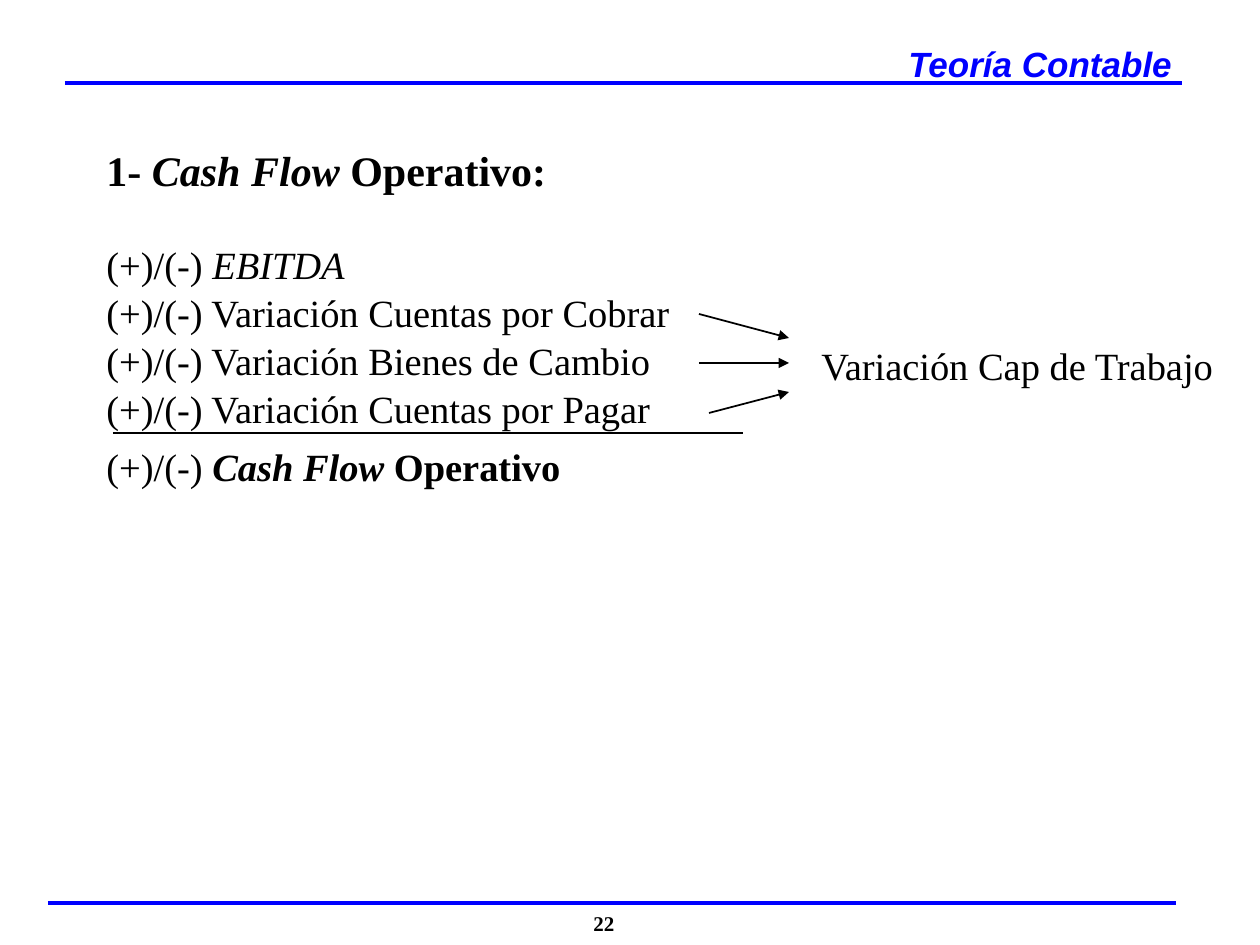
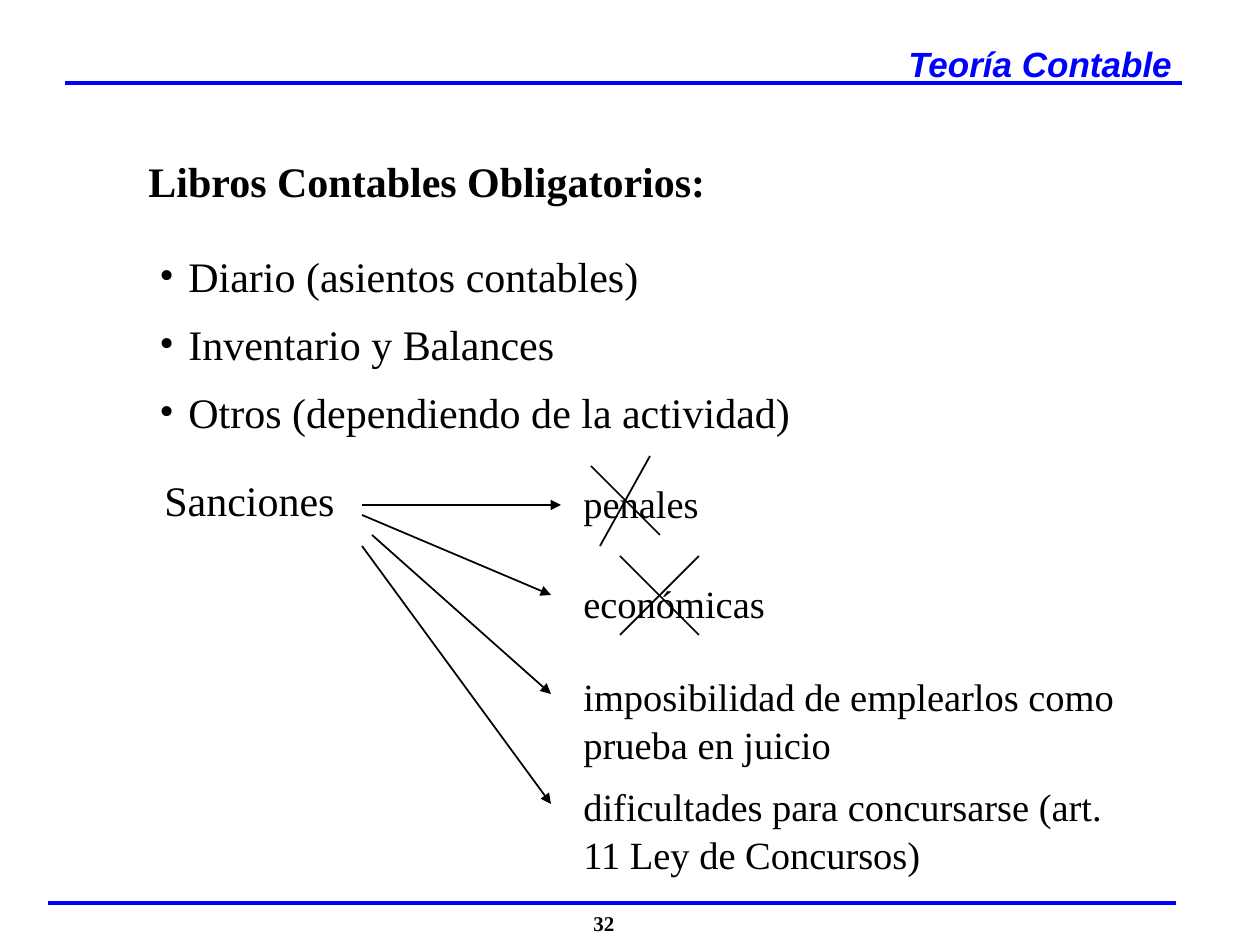
import lxml.etree
import pptx
import pptx.dml.color
import pptx.enum.shapes
import pptx.enum.text
import pptx.oxml.ns
import pptx.util

BLACK = pptx.dml.color.RGBColor(0x00, 0x00, 0x00)
BLUE = pptx.dml.color.RGBColor(0x00, 0x00, 0xFF)
SERIF = "Times New Roman"
SANS = "Arial"
SCALE = 914400 / 126
WIDE, HIGH = 1260, 945
LEAD = 1.04


def px(num):
    """Turn pixels into EMU."""
    return pptx.util.Emu(round(num * SCALE))


def tag(node, name, **attrs):
    """Append a DrawingML child to a node."""
    return lxml.etree.SubElement(node, pptx.oxml.ns.qn("a:" + name), attrs)


def line(slide, start, end, color=BLACK, width=1, arrow=False):
    """Draw a straight line, with an arrowhead at its end if asked."""
    link = slide.shapes.add_connector(
        pptx.enum.shapes.MSO_CONNECTOR.STRAIGHT,
        *[px(num) for num in (*start, *end)])
    link.line.color.rgb = color
    link.line.width = pptx.util.Pt(width)
    if arrow:
        tag(link.line._get_or_add_ln(), "tailEnd", type="triangle")
    tag(link._element.spPr, "effectLst")


def label(slide, box, paras, size, font=SERIF, color=BLACK, wrap=True):
    """Write paragraphs made of (text, style) runs, style being of b and i."""
    shape = slide.shapes.add_textbox(*[px(num) for num in box])
    frame = shape.text_frame
    frame.word_wrap = wrap
    frame.auto_size = pptx.enum.text.MSO_AUTO_SIZE.SHAPE_TO_FIT_TEXT
    frame.text = "\n".join(runs[0][0] for runs in paras)
    for para, runs in zip(frame.paragraphs, paras):
        para.line_spacing = LEAD
        for text, _ in runs[1:]:
            para.add_run().text = text
        for run, (_, style) in zip(para.runs, runs):
            run.font.name = font
            run.font.size = pptx.util.Pt(size)
            run.font.color.rgb = color
            run.font.bold = "b" in style
            run.font.italic = "i" in style
    return frame.paragraphs


def bullet(para, indent):
    """Give a paragraph a round bullet with a hanging indent."""
    props = para._p.get_or_add_pPr()
    props.set("marL", str(px(indent)))
    props.set("indent", str(-px(indent)))
    tag(props, "buFont", typeface=SERIF)
    tag(props, "buChar", char="•")


def frame(deck, number):
    """Add a slide with the shared header and footer."""
    slide = deck.slides.add_slide(deck.slide_layouts[6])
    line(slide, (65, 83), (1182, 83), BLUE, 2)
    line(slide, (48, 903), (1176, 903), BLUE, 2)
    foot = label(slide, (42, 903, 1124, 38), [[(number, "b")]], 12)
    foot[0].alignment = pptx.enum.text.PP_ALIGN.CENTER
    label(slide, (896, 35, 290, 54), [[("Teoría Contable", "bi")]], 20,
          SANS, BLUE, False)
    return slide


def flow(slide, box):
    """Show the operating cash flow and its working capital items."""
    left, top, wide, high = box
    label(slide, (left, top, wide, 63),
          [[("1- ", "b"), ("Cash Flow ", "bi"), ("Operativo:", "b")]], 24)
    sign = "(+)/(-) "
    items = ["Cuentas por Cobrar", "Bienes de Cambio", "Cuentas por Pagar"]
    paras = [[(sign, ""), ("EBITDA", "i")]]
    paras += [[(f"{sign}Variación {item}", "")] for item in items]
    paras.append([(sign, ""), ("Cash Flow ", "bi"), ("Operativo", "b")])
    rows = label(slide, (left, top + 97, 953, high - 97), paras, 22)
    rows[-1].space_before = pptx.util.Pt(5.5)
    line(slide, (left + 19, top + 297), (left + 649, top + 297))
    for dx, start, end in [(605, 178, 202), (605, 227, 227), (615, 277, 256)]:
        line(slide, (left + dx, top + start), (left + 695, top + end),
             arrow=True)
    label(slide, (left + 715, top + 198, 427, 59),
          [[("Variación Cap de Trabajo", "")]], 22)


def books(slide, box):
    """List the mandatory books."""
    left, top, wide, high = box
    label(slide, (left, top, wide, 63),
          [[("Libros Contables Obligatorios:", "b")]], 24)
    names = ["Diario (asientos contables)", "Inventario y Balances",
             "Otros (dependiendo de la actividad)"]
    rows = label(slide, (left + 11, top + 95, 935, high - 95),
                 [[(name, "")] for name in names], 24)
    for row in rows:
        row.space_before = pptx.util.Pt(9)
        bullet(row, 29)


def fines(slide, box):
    """Link the sanctions to their kinds and cross out two of them."""
    left, top, wide, high = box
    label(slide, (left, top, 935, 63), [[("Sanciones", "")]], 24)
    kinds = [
        ("penales", 6, 189, 59, (210, 39), (409, 39)),
        ("económicas", 106, 258, 59, (210, 49), (399, 129)),
        ("imposibilidad de emplearlos como prueba en juicio",
         199, 586, 106, (220, 69), (399, 228)),
        ("dificultades para concursarse (art. 11 Ley de Concursos)",
         309, 556, 106, (210, 80), (399, 338)),
    ]
    for text, dy, width, height, start, end in kinds:
        label(slide, (left + 419, top + dy, width, height),
              [[(text, "")]], 22)
        line(slide, (left + start[0], top + start[1]),
             (left + end[0], top + end[1]), arrow=True)
    strokes = [(439, 0, 508, 69), (498, -10, 448, 80),
               (468, 90, 547, 169), (547, 90, 468, 169)]
    for x1, y1, x2, y2 in strokes:
        line(slide, (left + x1, top + y1), (left + x2, top + y2))


def main():
    """Build and save the deck."""
    deck = pptx.Presentation()
    deck.slide_width, deck.slide_height = px(WIDE), px(HIGH)
    flow(frame(deck, "22"), (94, 136, 1102, 350))
    slide = frame(deck, "32")
    books(slide, (136, 147, 1029, 290))
    fines(slide, (152, 466, 1005, 415))
    deck.save("out.pptx")


if __name__ == "__main__":
    main()
